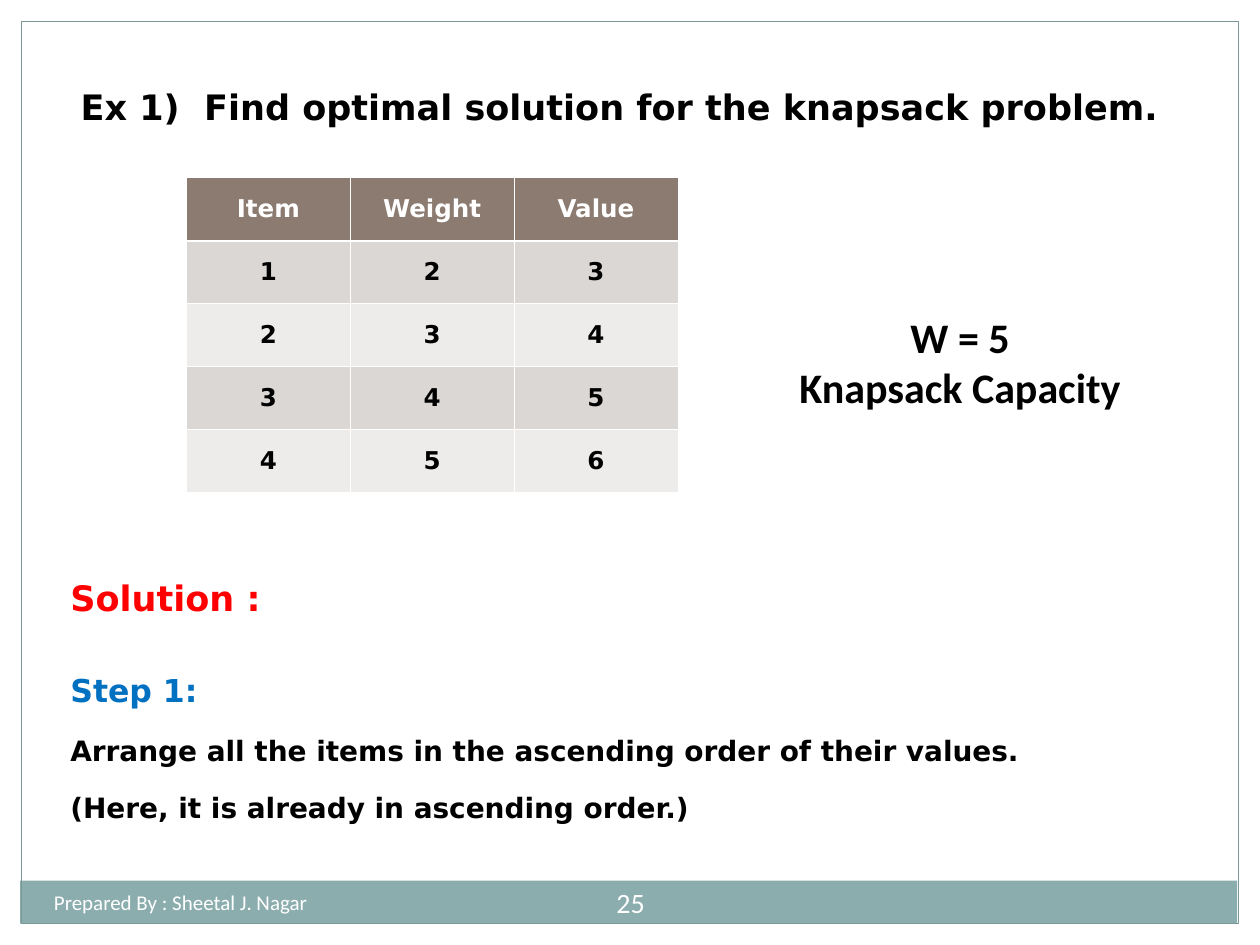
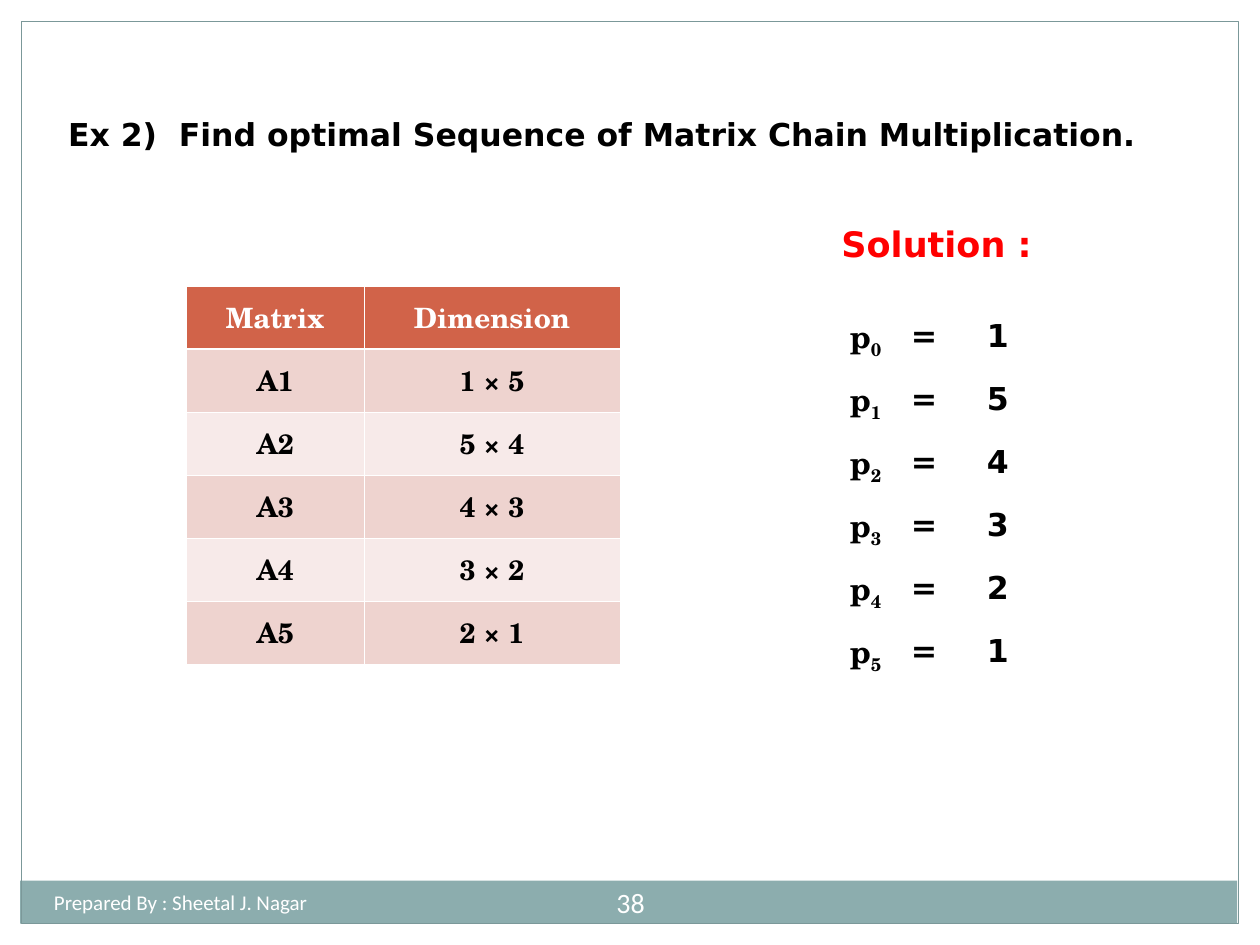
import dataclasses

import lxml.etree
import pptx
import pptx.dml.color
import pptx.enum.shapes
import pptx.enum.text
import pptx.oxml.ns
import pptx.slide
import pptx.table
import pptx.text.text
import pptx.util

Inches = pptx.util.Inches
ALIGN = pptx.enum.text.PP_ALIGN
ANCHOR = pptx.enum.text.MSO_ANCHOR

# Shared colours and fonts
WHITE, BLACK, RED, BLUE = "FFFFFF", "000000", "FF0000", "0070C0"
BAND, EDGE = "8CADAE", "7B9899"
SANS, SERIF, PLAIN = "DejaVu Sans", "TeX Gyre Schola", "Calibri"
START = 0.44  # where title text starts inside its box


@dataclasses.dataclass(frozen=True)
class Box:
    left: float
    top: float
    width: float
    height: float

    def lengths(self) -> tuple:
        return tuple(Inches(v) for v in dataclasses.astuple(self))


@dataclasses.dataclass(frozen=True)
class Style:
    size: float
    font: str = SANS
    color: str = BLACK
    bold: bool = True


@dataclasses.dataclass(frozen=True)
class Line:
    text: str
    style: Style
    before: float = 0
    spacing: float = 1.0
    align: ALIGN = ALIGN.LEFT


@dataclasses.dataclass(frozen=True)
class Panel:
    box: Box
    fill: str = ""
    edge: str = ""


@dataclasses.dataclass(frozen=True)
class Theme:
    head: str
    odd: str
    even: str
    font: str
    size: float


PANELS = [
    Panel(Box(0, 0, 10, 0.17), WHITE),
    Panel(Box(9.83, 0, 0.17, 7.5), WHITE),
    Panel(Box(0, 0, 0.17, 7.5), WHITE),
    Panel(Box(0.16, 6.99, 9.66, 0.34), BAND),
    Panel(Box(0.17, 0.17, 9.66, 7.16), edge=EDGE),
]
SOLVE = Line("Solution :", Style(20, color=RED), before=5)


def rgb(code: str) -> pptx.dml.color.RGBColor:
    return pptx.dml.color.RGBColor.from_string(code)


def format_par(par: pptx.text.text._Paragraph, style: Style) -> None:
    for run in par.runs:
        run.font.size = pptx.util.Pt(style.size)
        run.font.name = style.font
        run.font.bold = style.bold
        run.font.color.rgb = rgb(style.color)


def indent(par: pptx.text.text._Paragraph, left: float, first: float) -> None:
    props = par._p.get_or_add_pPr()
    props.set("marL", str(Inches(left)))
    props.set("indent", str(Inches(first)))


def add_text(slide: pptx.slide.Slide, box: Box, lines: list[Line],
             hang: bool = False) -> pptx.text.text.TextFrame:
    frame = slide.shapes.add_textbox(*box.lengths()).text_frame
    frame.word_wrap = True
    frame.text = "\n".join(line.text for line in lines)
    for par, line in zip(frame.paragraphs, lines):
        par.alignment = line.align
        par.space_before = pptx.util.Pt(line.before)
        par.line_spacing = line.spacing
        if hang:
            indent(par, 0.46, -0.42)
        format_par(par, line.style)
    return frame


def add_page(deck: pptx.presentation.Presentation, number: int) -> pptx.slide.Slide:
    """Add a slide with its frame, band and footer."""
    slide = deck.slides.add_slide(deck.slide_layouts[5])
    for panel in PANELS:
        shape = slide.shapes.add_shape(
            pptx.enum.shapes.MSO_SHAPE.RECTANGLE, *panel.box.lengths())
        shape.shadow.inherit = False
        if panel.fill:
            shape.fill.solid()
            shape.fill.fore_color.rgb = rgb(panel.fill)
        else:
            shape.fill.background()
        if panel.edge:
            shape.line.color.rgb = rgb(panel.edge)
            shape.line.width = pptx.util.Pt(0.75)
        else:
            shape.line.fill.background()
    page = add_text(slide, Box(4.67, 6.92, 0.67, 0.48), [
        Line(str(number), Style(16, PLAIN, WHITE, False), align=ALIGN.CENTER)])
    page.vertical_anchor = ANCHOR.MIDDLE
    page.margin_left = page.margin_right = Inches(0.05)
    add_text(slide, Box(0.33, 7.01, 3.92, 0.4), [
        Line("Prepared By : Sheetal J. Nagar", Style(12, PLAIN, WHITE, False))])
    return slide


def set_title(slide: pptx.slide.Slide, box: Box, label: str, text: str,
              size: float, gap: float) -> None:
    """Place the title; a tab sets its text apart from the label by gap."""
    title = slide.shapes.title
    title.left, title.top, title.width, title.height = box.lengths()
    frame = title.text_frame
    frame.auto_size = pptx.enum.text.MSO_AUTO_SIZE.NONE
    frame.word_wrap = True
    frame.vertical_anchor = ANCHOR.TOP
    frame.text = f"{label}\t{text}"
    par = frame.paragraphs[0]
    par.alignment = ALIGN.LEFT
    par.space_before = pptx.util.Pt(size / 4)
    indent(par, START + gap, -gap)
    format_par(par, Style(size))


def add_grid(slide: pptx.slide.Slide, left: float, top: float,
             widths: list[float], rows: list[tuple]) -> pptx.table.Table:
    """Add an unstyled table with centred text and rows half an inch high."""
    box = Box(left, top, sum(widths), 0.5 * len(rows))
    grid = slide.shapes.add_table(len(rows), len(widths), *box.lengths()).table
    grid.first_row = grid.horz_banding = False
    for col, width in zip(grid.columns, widths):
        col.width = Inches(width)
    for r, row in enumerate(rows):
        for c, value in enumerate(row):
            cell = grid.cell(r, c)
            cell.text_frame.text = str(value)
            cell.text_frame.paragraphs[0].alignment = ALIGN.CENTER
            cell.vertical_anchor = ANCHOR.MIDDLE
            cell.fill.background()
    return grid


def add_border(cell: pptx.table._Cell, side: str, width: float) -> None:
    qn = pptx.oxml.ns.qn
    line = lxml.etree.SubElement(cell._tc.get_or_add_tcPr(), qn(f"a:ln{side}"),
                                 w=str(pptx.util.Pt(width)))
    fill = lxml.etree.SubElement(line, qn("a:solidFill"))
    lxml.etree.SubElement(fill, qn("a:srgbClr"), val=WHITE)


def paint_grid(grid: pptx.table.Table, theme: Theme) -> None:
    """Colour the header and the bands, and rule the cells in white."""
    grid.first_row = True
    for r, row in enumerate(grid.rows):
        fill = theme.head if r == 0 else theme.odd if r % 2 else theme.even
        ink = BLACK if r else WHITE
        for cell in row.cells:
            props = cell._tc.get_or_add_tcPr()
            for child in list(props):
                props.remove(child)
            for side in "LRTB":
                thick = (r, side) in ((0, "B"), (1, "T"))
                add_border(cell, side, 1.47 if thick else 0.45)
            cell.fill.solid()
            cell.fill.fore_color.rgb = rgb(fill)
            format_par(cell.text_frame.paragraphs[0],
                       Style(theme.size, theme.font, ink))


def add_knapsack(deck: pptx.presentation.Presentation) -> None:
    slide = add_page(deck, 25)
    set_title(slide, Box(0.1, 0.63, 9.58, 0.78), "Ex 1)",
              "Find optimal solution for the knapsack problem.", 20, 0.98)

    # Items
    items = [(1, 2, 3), (2, 3, 4), (3, 4, 5), (4, 5, 6)]
    grid = add_grid(slide, 1.48, 1.41, [1.3] * 3,
                    [("Item", "Weight", "Value"), *items])
    paint_grid(grid, Theme("8C7B70", "DBD7D5", "EEECEB", SANS, 14))

    # Capacity
    large = Style(24, PLAIN)
    add_text(slide, Box(5.94, 2.42, 3.36, 0.9), [
        Line(text, large, align=ALIGN.CENTER)
        for text in ("W = 5", "Knapsack Capacity")])

    # Solution
    body = Style(16)
    add_text(slide, Box(0.42, 4.53, 9.58, 2.11), [
        SOLVE,
        Line("Step 1:", Style(18, color=BLUE), before=30),
        Line("Arrange all the items in the ascending order of their values.",
             body, before=4, spacing=1.5),
        Line("(Here, it is already in ascending order.)",
             body, before=4, spacing=1.5),
    ], hang=True)


def add_chain(deck: pptx.presentation.Presentation) -> None:
    slide = add_page(deck, 38)
    set_title(slide, Box(0, 0.86, 9.58, 0.78), "Ex 2)",
              "Find optimal Sequence of Matrix Chain Multiplication.", 18, 0.88)
    sizes = [1, 5, 4, 3, 2, 1]

    # Matrices: each one spans two neighbouring sizes
    pairs = enumerate(zip(sizes, sizes[1:]), 1)
    rows = [(f"A{i}", f"{a} × {b}") for i, (a, b) in pairs]
    grid = add_grid(slide, 1.48, 2.27, [1.41, 2.03],
                    [("Matrix", "Dimension"), *rows])
    paint_grid(grid, Theme("D16349", "EED3CF", "F7EAE9", SERIF, 16))

    # Solution
    add_text(slide, Box(6.54, 1.72, 2.68, 0.55), [SOLVE], hang=True)
    grid = add_grid(slide, 6.61, 2.42, [0.52, 0.38, 0.82],
                    [("p", "=", size) for size in sizes])
    for i, row in enumerate(grid.rows):
        name, *rest = (cell.text_frame.paragraphs[0] for cell in row.cells)
        sub = name.add_run()
        sub.text = str(i)
        format_par(name, Style(18, SERIF))
        sub._r.get_or_add_rPr().set("baseline", "-25000")
        for par in rest:
            format_par(par, Style(18))


def main() -> None:
    deck = pptx.Presentation()
    deck.slide_width, deck.slide_height = Inches(10), Inches(7.5)
    add_knapsack(deck)
    add_chain(deck)
    deck.save("out.pptx")


if __name__ == "__main__":
    main()
